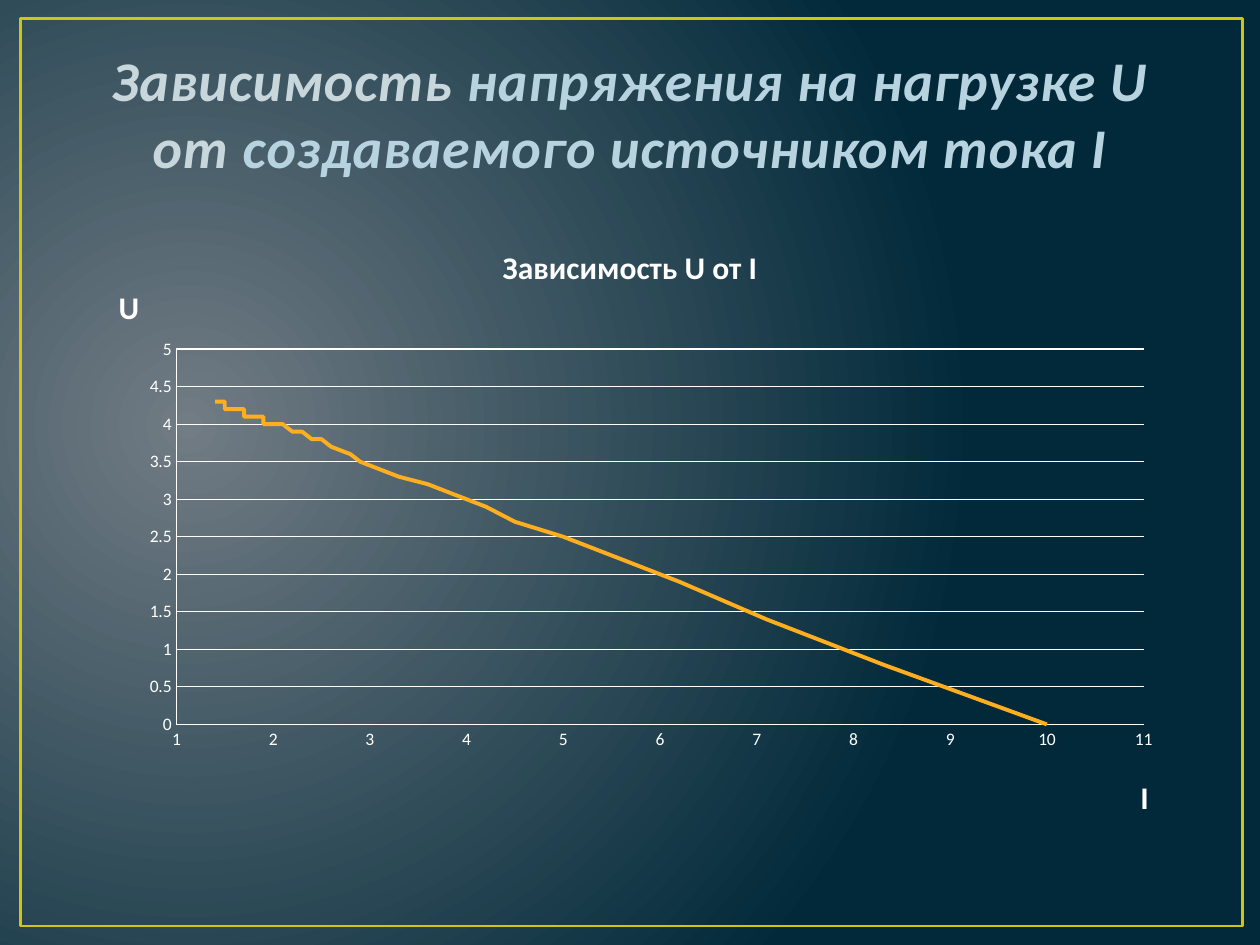
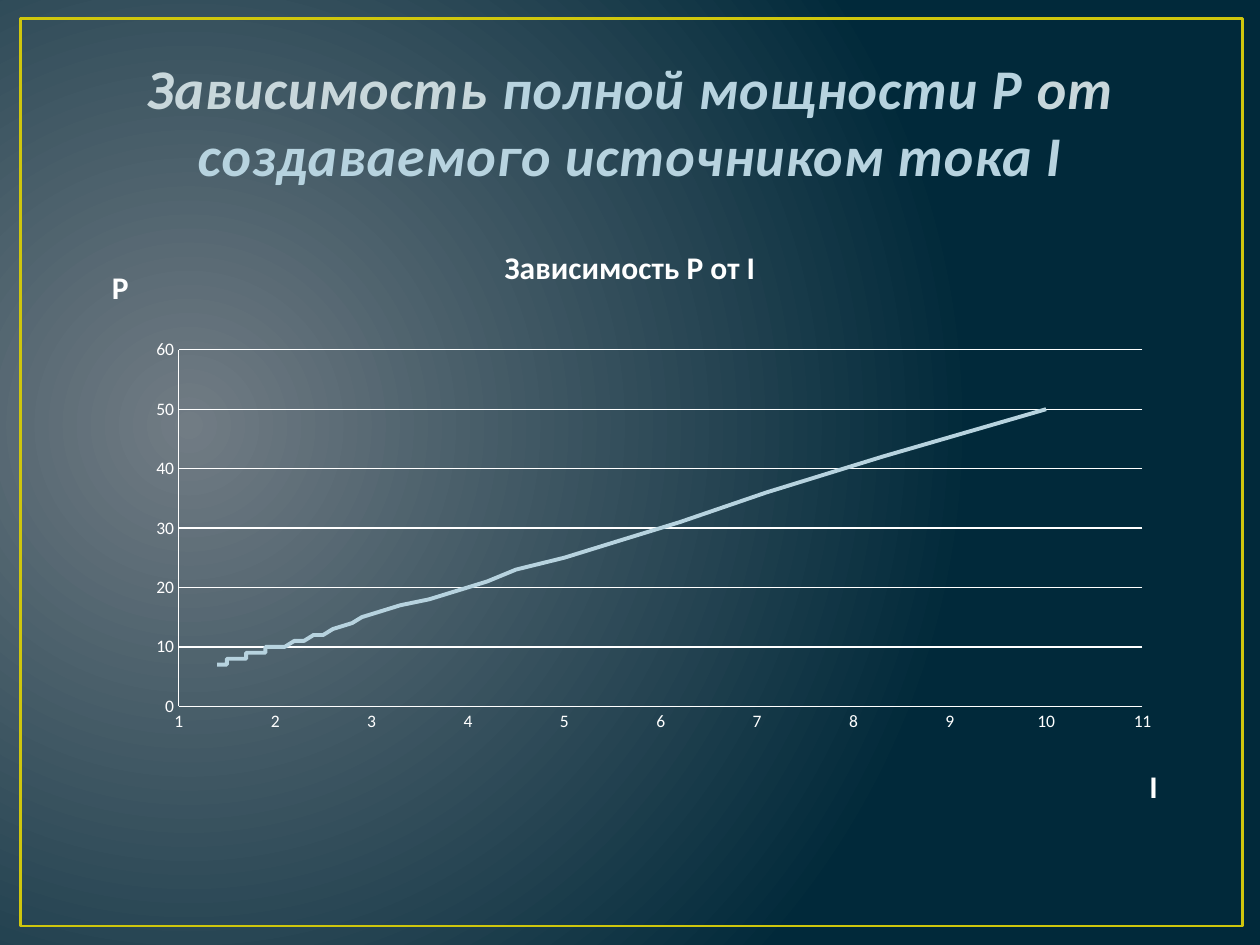
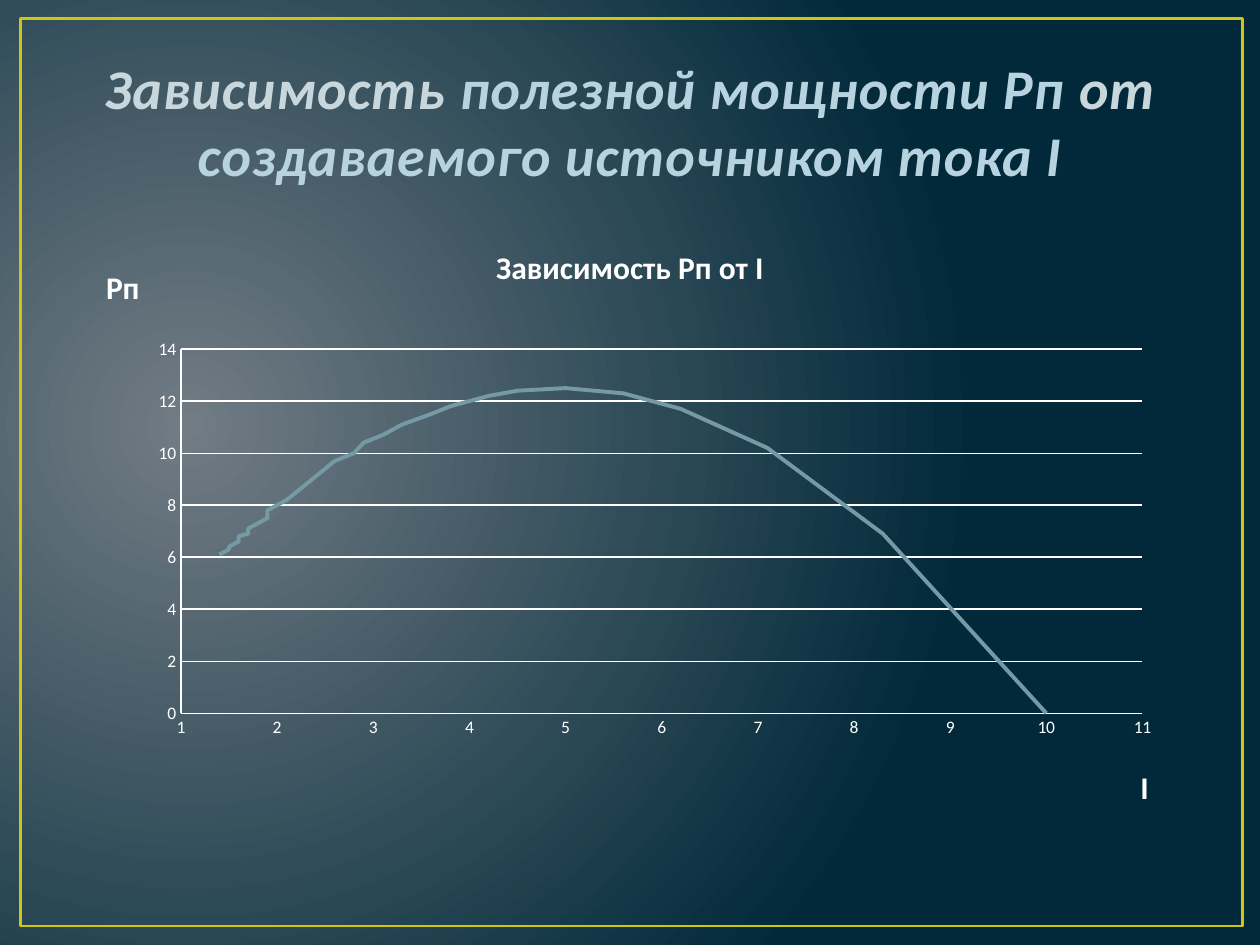
from lxml import etree
from pptx import Presentation, util as u
from pptx.chart.data import XyChartData
from pptx.dml.color import RGBColor
from pptx.enum import chart as ch, shapes, text
from pptx.oxml.ns import qn

FONT = "Calibri"
WHITE, PALE, SKY = "FFFFFF", "C8D7DB", "B7D3DF"
EMF, RESISTANCE = 5, 0.5


def rgb(value):
    return RGBColor.from_string(value)


def place(part, index, **fractions):
    for old in part.findall(qn("c:layout")):
        part.remove(old)
    layout = etree.Element(qn("c:layout"))
    manual = etree.SubElement(layout, qn("c:manualLayout"))
    if "w" in fractions:
        etree.SubElement(manual, qn("c:layoutTarget")).set("val", "inner")
    for side in "xy":
        etree.SubElement(manual, qn(f"c:{side}Mode")).set("val", "edge")
    for key, value in fractions.items():
        etree.SubElement(manual, qn(f"c:{key}")).set("val", str(value))
    part.insert(index, layout)


prs = Presentation()
prs.slide_width, prs.slide_height = u.Cm(25.4), u.Cm(19.05)
master, title_only = prs.slide_master, prs.slide_layouts[5]

glow = master.background.fill
glow.gradient()
for stop, color in zip(glow.gradient_stops, ("717C84", "01293A")):
    stop.color.rgb = rgb(color)
gradient = master.element.find(".//" + qn("a:gradFill"))
gradient.remove(gradient.find(qn("a:lin")))
circle = etree.SubElement(gradient, qn("a:path"), path="circle")
etree.SubElement(circle, qn("a:fillToRect"), l="15000", t="50000", r="85000", b="60000")

currents = [EMF / (RESISTANCE + k / 10) for k in range(31)]
voltages = [EMF - RESISTANCE * i for i in currents]
full_power = [EMF * i for i in currents]
useful_power = [v * i for v, i in zip(voltages, currents)]

source_words = "создаваемого источником тока I"
topics = [
    dict(symbol="U", color="FFAE1F", values=voltages, digits=1, top=5, step=0.5,
         heading=[("напряжения на нагрузке U", SKY), (" от ", PALE)], heading_height=3,
         plot=(0.1, 0.206, 0.853, 0.602), symbol_at=(0.044, 0.094), current_at=(0.945, 0.88)),
    dict(symbol="P", color=SKY, values=full_power, digits=0, top=60, step=10,
         heading=[("полной мощности P ", SKY), ("от ", PALE)], heading_height=3.15,
         plot=(0.102, 0.207, 0.85, 0.572), symbol_at=(0.038, 0.063), current_at=(0.953, 0.863)),
    dict(symbol="Pп", color="759AA5", values=useful_power, digits=1, top=14, step=2,
         heading=[("полезной мощности Pп ", SKY), ("от ", PALE)], heading_height=3.15,
         plot=(0.104, 0.206, 0.848, 0.584), symbol_at=(0.033, 0.063), current_at=(0.945, 0.864)),
]

for number, topic in enumerate(topics):
    slide = prs.slides.add_slide(title_only)
    if number == 0:
        frame = slide.shapes.add_shape(shapes.MSO_SHAPE.RECTANGLE, u.Cm(0.41), u.Cm(0.38),
                                       u.Cm(24.64), u.Cm(18.29))
        frame.shadow.inherit = False
        frame.fill.background()
        frame.line.color.rgb = rgb("CFC60D")
        frame.line.width = u.Pt(1.5)
        master.shapes.element.insert(2, frame.element)

    heading = slide.shapes.title
    heading.left, heading.top = u.Cm(1.27), u.Cm(0.76)
    heading.width, heading.height = u.Cm(22.86), u.Cm(topic["heading_height"])
    heading.text_frame.word_wrap = True
    heading.text_frame.auto_size = text.MSO_AUTO_SIZE.NONE
    heading.text_frame.vertical_anchor = text.MSO_ANCHOR.BOTTOM
    line = heading.text_frame.paragraphs[0]
    line.alignment = text.PP_ALIGN.CENTER
    for words, color in [("Зависимость ", PALE), *topic["heading"], (source_words, SKY)]:
        run = line.add_run()
        run.text = words
        run.font.name, run.font.size = FONT, u.Pt(32)
        run.font.bold = run.font.italic = True
        run.font.color.rgb = rgb(color)
        run.font._element.set("spc", "50")

    data = XyChartData()
    points = data.add_series("Series 1")
    for current, value in zip(currents, topic["values"]):
        points.add_data_point(round(current, 1), round(value, topic["digits"]))
    graph = slide.shapes.add_chart(ch.XL_CHART_TYPE.XY_SCATTER_SMOOTH_NO_MARKERS, u.Cm(1.27),
                                   u.Cm(4.45), u.Cm(22.86), u.Cm(12.57), data).chart
    graph.has_legend = False
    graph.font.name, graph.font.size = FONT, u.Pt(10)
    graph.font.color.rgb = rgb(WHITE)
    graph.plots[0].vary_by_categories = False
    curve = graph.plots[0].series[0]
    curve.smooth = True
    curve.marker.style = ch.XL_MARKER_STYLE.NONE
    curve.format.line.color.rgb = rgb(topic["color"])
    curve.format.line.width = u.Pt(2.25)

    current_axis, value_axis = graph.category_axis, graph.value_axis
    current_axis.minimum_scale, current_axis.maximum_scale = 1, 11
    current_axis.major_unit = 1
    value_axis.minimum_scale, value_axis.maximum_scale = 0, topic["top"]
    value_axis.major_unit = topic["step"]
    current_axis.has_major_gridlines = False
    value_axis.has_major_gridlines = True
    grid = value_axis.major_gridlines.format.line
    for axis in (current_axis, value_axis):
        axis.major_tick_mark = axis.minor_tick_mark = ch.XL_TICK_MARK.NONE
    for rule in (grid, current_axis.format.line, value_axis.format.line):
        rule.color.rgb = rgb(WHITE)
        rule.width = u.Pt(0.75)

    graph.has_title = True
    captions = [(graph.chart_title, f"Зависимость {topic['symbol']} от I", None),
                (current_axis.axis_title, "I", topic["current_at"]),
                (value_axis.axis_title, topic["symbol"], topic["symbol_at"])]
    for caption, words, spot in captions:
        run = caption.text_frame.paragraphs[0].add_run()
        run.text = words
        run.font.name, run.font.size, run.font.bold = FONT, u.Pt(18), True
        run.font.color.rgb = rgb(WHITE)
        if spot:
            body = caption.element.find(".//" + qn("a:bodyPr"))
            body.set("rot", "0")
            body.set("vert", "horz")
            place(caption.element, 1, x=spot[0], y=spot[1])
    plot_area = graph.element.find(".//" + qn("c:plotArea"))
    place(plot_area, 0, **dict(zip("xywh", topic["plot"])))

prs.save("out.pptx")
